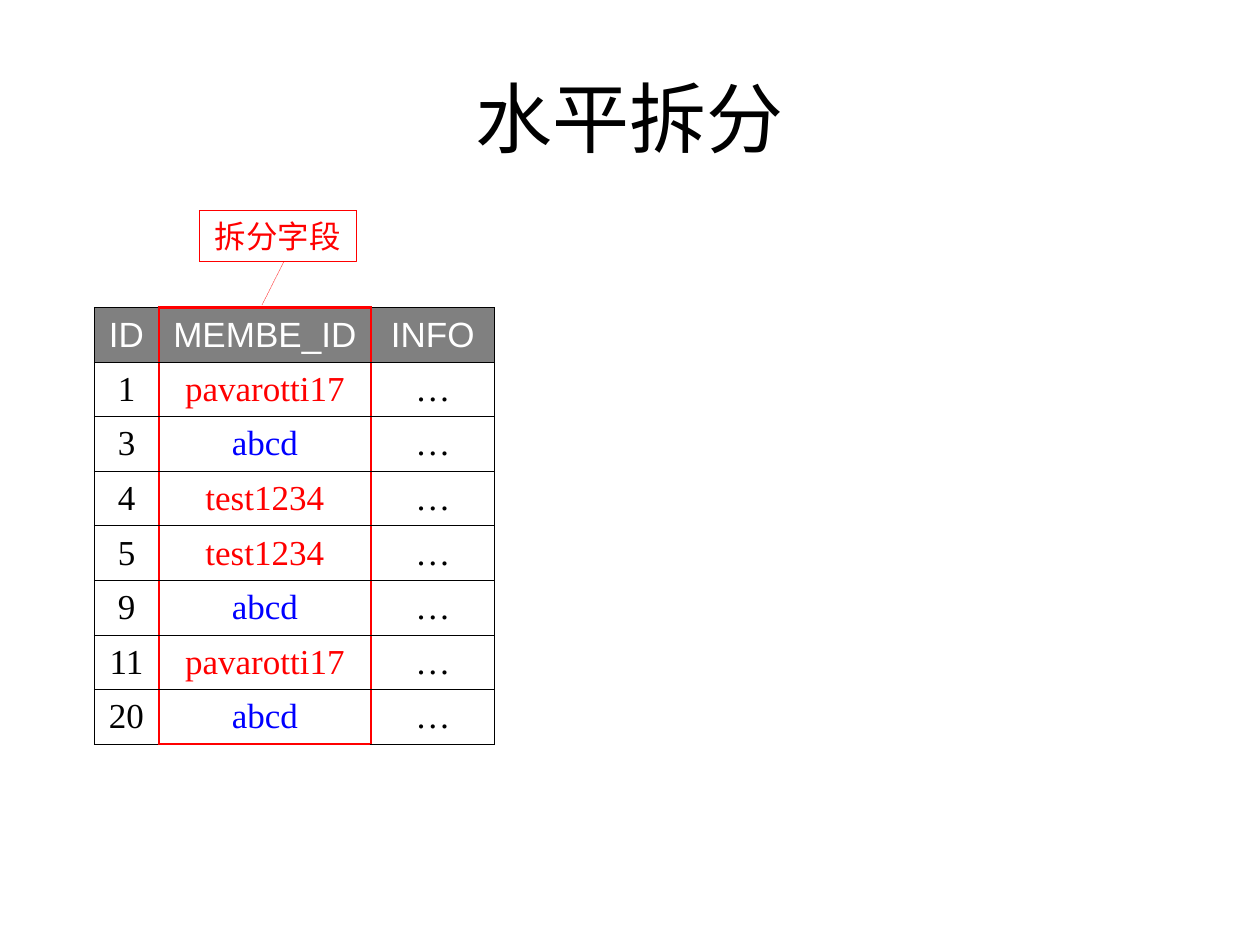
from lxml import etree
from pptx import Presentation
from pptx.dml.color import RGBColor
from pptx.enum.dml import MSO_LINE
from pptx.enum.shapes import MSO_CONNECTOR, MSO_SHAPE
from pptx.enum.text import MSO_ANCHOR, PP_ALIGN
from pptx.oxml.ns import qn
from pptx.util import Cm, Pt

TITLE_ONLY = 5
CENTER, MIDDLE = PP_ALIGN.CENTER, MSO_ANCHOR.MIDDLE
STRAIGHT, RECTANGLE = MSO_CONNECTOR.STRAIGHT, MSO_SHAPE.RECTANGLE
DOTTED = MSO_LINE.ROUND_DOT

BLACK, WHITE, GRAY = "000000", "FFFFFF", "808080"
RED, BLUE = "FF0000", "0000FF"
SANS, SERIF = "Arial", "Times New Roman"
THIN, THICK = (BLACK, 0.45), (RED, 1.47)

HEADERS = ["ID", "MEMBE_ID", "INFO"]
MEMBERS = [
    (1, "pavarotti17"),
    (3, "abcd"),
    (4, "test1234"),
    (5, "test1234"),
    (9, "abcd"),
    (11, "pavarotti17"),
    (20, "abcd"),
]
MEMBER_COLORS = {"pavarotti17": RED, "test1234": RED, "abcd": BLUE}
SPLIT_COLUMN = 1
COLUMN_WIDTHS = [1.3, 4.28, 2.49]
ROW_HEIGHT = 1.1


def rgb(hex_color):
    return RGBColor.from_string(hex_color)


def write_centered(frame, text, size, font, color, space_before=0):
    frame.vertical_anchor = MIDDLE
    paragraph = frame.paragraphs[0]
    paragraph.alignment = CENTER
    paragraph.space_before = Pt(space_before)
    run = paragraph.add_run()
    run.text = text
    run.font.size = Pt(size)
    run.font.name = font
    run.font.bold = False
    run.font.color.rgb = rgb(color)


def set_borders(cell, borders):
    """Take (color, points) pairs keyed by side, in the order L, R, T, B."""
    properties = cell._tc.get_or_add_tcPr()
    for side, (color, points) in borders.items():
        line = etree.SubElement(properties, qn(f"a:ln{side}"), w=str(Pt(points)))
        fill = etree.SubElement(line, qn("a:solidFill"))
        etree.SubElement(fill, qn("a:srgbClr"), val=color)


def cell_borders(row, column, last_row):
    """Frame the split column in red and rule everything else in black."""
    in_split = column == SPLIT_COLUMN
    return {
        "L": THICK if column in (SPLIT_COLUMN, SPLIT_COLUMN + 1) else THIN,
        "R": THICK if column in (SPLIT_COLUMN - 1, SPLIT_COLUMN) else THIN,
        "T": THICK if in_split and row == 0 else THIN,
        "B": THICK if in_split and row == last_row else THIN,
    }


def add_title(slide, text):
    title = slide.shapes.title
    title.left, title.top, title.width, title.height = Cm(1.27), Cm(0.76), Cm(22.86), Cm(3.18)
    write_centered(title.text_frame, text, 44, SANS, BLACK)


def add_member_table(slide):
    rows = [HEADERS] + [[str(number), member, "…"] for number, member in MEMBERS]
    table = slide.shapes.add_table(
        len(rows), len(HEADERS), Cm(1.9), Cm(6.2),
        Cm(sum(COLUMN_WIDTHS)), Cm(ROW_HEIGHT * len(rows)),
    ).table
    for column, width in zip(table.columns, COLUMN_WIDTHS):
        column.width = Cm(width)
    for r, values in enumerate(rows):
        table.rows[r].height = Cm(ROW_HEIGHT)
        for c, value in enumerate(values):
            cell = table.cell(r, c)
            set_borders(cell, cell_borders(r, c, len(rows) - 1))
            cell.fill.solid()
            cell.fill.fore_color.rgb = rgb(WHITE if r else GRAY)
            cell.vertical_anchor = MIDDLE
            font = SERIF if r else SANS
            color = MEMBER_COLORS.get(value, BLACK) if r else WHITE
            write_centered(cell.text_frame, value, 20, font, color, 5)


def style_dotted(line):
    line.color.rgb = rgb(RED)
    line.width = Pt(0.25)
    line.dash_style = DOTTED


def add_split_label(slide, text):
    label = slide.shapes.add_shape(RECTANGLE, Cm(4.01), Cm(4.24), Cm(3.18), Cm(1.02))
    label.shadow.inherit = False
    label.fill.background()
    style_dotted(label.line)
    label.text_frame.word_wrap = False
    write_centered(label.text_frame, text, 18, SANS, RED, 11.2)


def add_leader(slide):
    leader = slide.shapes.add_connector(STRAIGHT, Cm(5.72), Cm(5.28), Cm(5.28), Cm(6.15))
    style_dotted(leader.line)
    etree.SubElement(leader._element.spPr, qn("a:effectLst"))


def main():
    presentation = Presentation()
    presentation.slide_width, presentation.slide_height = Cm(25.4), Cm(19.05)
    slide = presentation.slides.add_slide(presentation.slide_layouts[TITLE_ONLY])
    add_title(slide, "水平拆分")
    add_member_table(slide)
    add_split_label(slide, "拆分字段")
    add_leader(slide)
    presentation.save("out.pptx")


if __name__ == "__main__":
    main()
